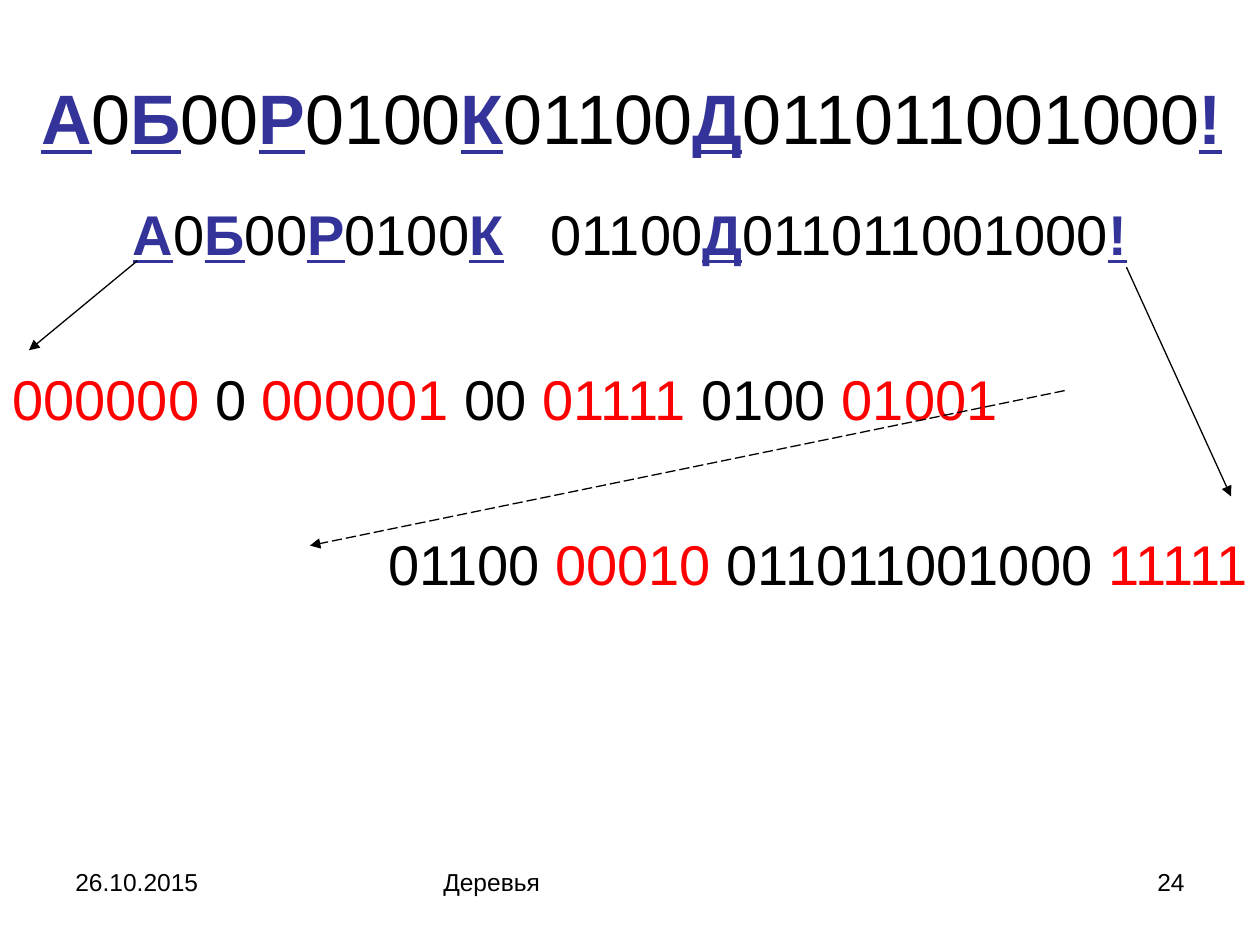
from itertools import groupby

from lxml import etree
from pptx import Presentation
from pptx.dml import color
from pptx.enum import dml, shapes, text
from pptx.oxml import ns
from pptx.util import Inches, Pt

COLOURS = {"ink": "000000", "letter": "333399", "code": "FF0000"}
FONT = "Arial"
ALIGN = text.PP_ALIGN
GAP = " "

PLAIN = {"bold": False, "underline": False}
LETTER = {"bold": True, "underline": True}


def letters_and_bits(message):
    pieces = []
    for is_letter, group in groupby(message, lambda c: c not in "01 "):
        colour, style = ("letter", LETTER) if is_letter else ("ink", PLAIN)
        pieces.append(("".join(group), colour, style))
    return pieces


def alternating(codes, colours):
    words = codes.split()
    last = len(words) - 1
    return [(word + ("" if i == last else " "), colours[i % 2], PLAIN)
            for i, word in enumerate(words)]


class Deck:
    def __init__(self, width, height):
        self.presentation = Presentation()
        self.presentation.slide_width = Inches(width)
        self.presentation.slide_height = Inches(height)
        self.slide = None

    def add_slide(self):
        self.slide = self.presentation.slides.add_slide(
            self.presentation.slide_layouts[6])

    def textbox(self, left, top, width, height, **frame_format):
        frame = self.slide.shapes.add_textbox(
            *map(Inches, (left, top, width, height))).text_frame
        for name, value in {"word_wrap": True, **frame_format}.items():
            setattr(frame, name, value)
        return frame

    def line(self, paragraph, pieces, size, **paragraph_format):
        for name, value in paragraph_format.items():
            setattr(paragraph, name, value)
        for words, colour, style in pieces:
            run = paragraph.add_run()
            run.text = words
            run.font.color.rgb = color.RGBColor.from_string(COLOURS[colour])
            for name, value in {"name": FONT, "size": Pt(size), **style}.items():
                setattr(run.font, name, value)

    def widen(self, run, points):
        run.font._element.set("spc", str(points * 100))

    def arrow(self, start, end, dash=None):
        connector = self.slide.shapes.add_connector(
            shapes.MSO_CONNECTOR.STRAIGHT, *map(Inches, start + end))
        connector.line.color.rgb = color.RGBColor.from_string(COLOURS["ink"])
        connector.line.width = Pt(0.75)
        if dash:
            connector.line.dash_style = dash
        outline = connector.line._get_or_add_ln()
        etree.SubElement(outline, ns.qn("a:tailEnd"), type="triangle")
        etree.SubElement(connector._element.spPr, ns.qn("a:effectLst"))


def main():
    deck = Deck(10, 7.5)
    deck.add_slide()

    footers = [
        (0.5, 2.33, "26.10.2015", ALIGN.LEFT),
        (3.42, 3.17, "Деревья", ALIGN.LEFT),
        (7.17, 2.33, "24", ALIGN.RIGHT),
    ]
    for left, width, words, alignment in footers:
        footer = deck.textbox(left, 6.83, width, 0.52)
        deck.line(footer.paragraphs[0], [(words, "ink", PLAIN)], 14,
                  alignment=alignment)

    title = deck.textbox(0.18, 0.3, 9.82, 1.25,
                         vertical_anchor=text.MSO_ANCHOR.MIDDLE)
    deck.line(title.paragraphs[0],
              letters_and_bits("А0Б00Р0100К01100Д011011001000! "), 40,
              alignment=ALIGN.CENTER)

    encoding = deck.textbox(0, 1.49, 10, 5.21, margin_top=Inches(0.09))
    halves = encoding.paragraphs[0]
    first_half = letters_and_bits("А0Б00Р0100К")
    second_half = letters_and_bits("01100Д011011001000!")
    deck.line(halves, first_half + [(GAP, "ink", PLAIN)] + second_half, 32,
              alignment=ALIGN.CENTER)
    deck.widen(halves.runs[len(first_half)], 18)

    rows = [
        ("000000 0 000001 00 01111 0100 01001", ("code", "ink"), ALIGN.LEFT),
        ("01100 00010 011011001000 11111", ("ink", "code"), ALIGN.RIGHT),
    ]
    for codes, colours, alignment in rows:
        deck.line(encoding.add_paragraph(), alternating(codes, colours), 32,
                  alignment=alignment, space_before=Pt(56))

    deck.arrow((1.09, 2.07), (0.23, 2.78))
    deck.arrow((8.94, 2.12), (9.77, 3.94))
    deck.arrow((8.45, 3.1), (2.46, 4.33), dml.MSO_LINE.LONG_DASH)

    deck.presentation.save("out.pptx")


if __name__ == "__main__":
    main()
